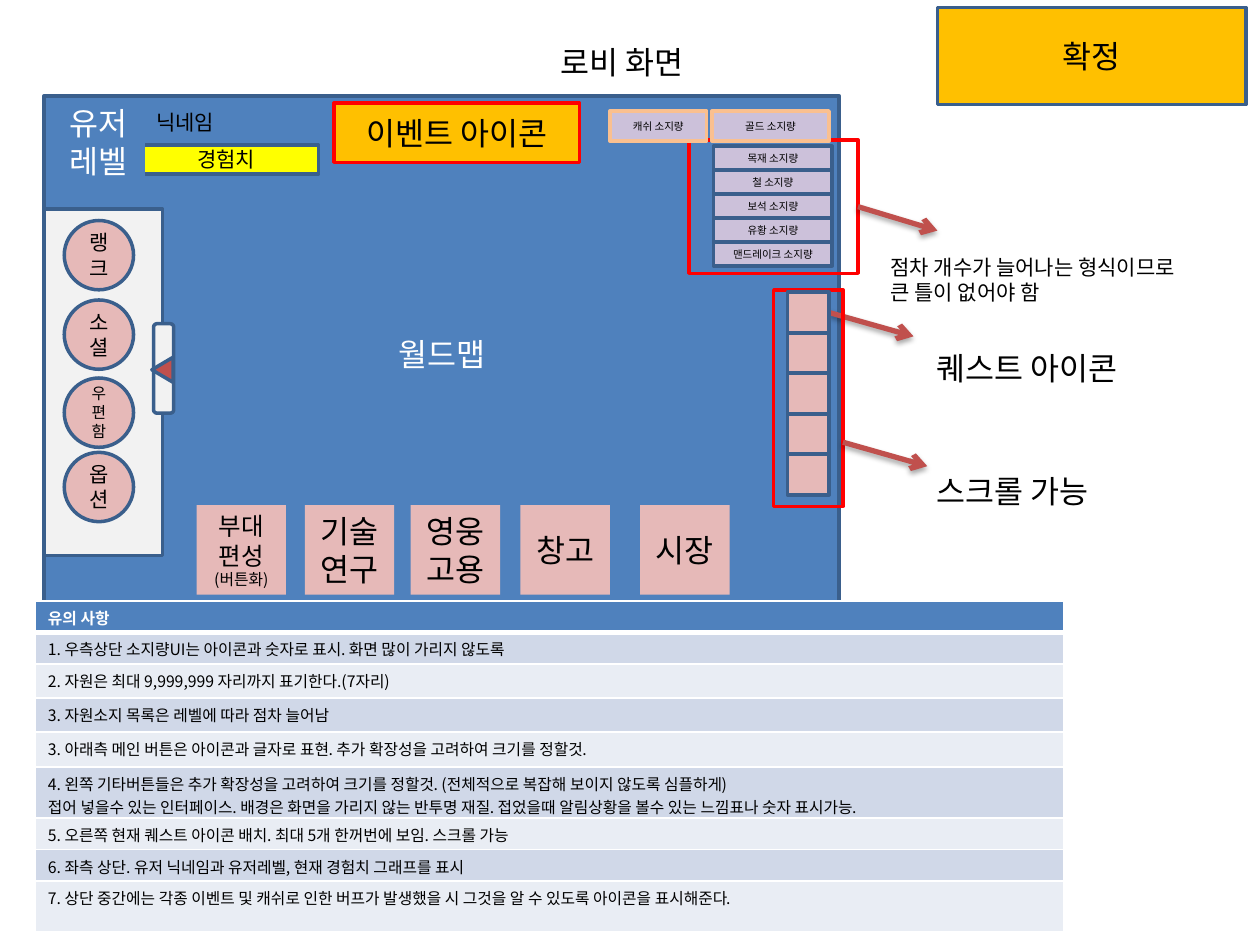
"""Build the lobby screen layout slide with its table of notes."""
from dataclasses import dataclass

from lxml.etree import SubElement
from pptx import Presentation
from pptx.dml.color import RGBColor
from pptx.enum.shapes import MSO_CONNECTOR as Link, MSO_SHAPE as Form
from pptx.enum.text import MSO_ANCHOR as Anchor, MSO_AUTO_SIZE as Fit, PP_ALIGN as Align
from pptx.oxml.ns import qn
from pptx.slide import Slide
from pptx.util import Pt

BLUE, NAVY, RED, ARROW = "4F81BD", "3A5F8C", "FF0000", "C0504D"
PINK, LILAC, PEACH, AMBER = "E6B9B8", "CCC1DA", "FAC090", "FFC000"
YELLOW, PALE, WHITE, BLACK = "FFFF00", "F2F2F2", "FFFFFF", "000000"
BANDS = ("D0D8E8", "E9EDF4")

NOTES = [
    (18, "유의 사항"),
    (18, "1. 우측상단 소지량UI는 아이콘과 숫자로 표시. 화면 많이 가리지 않도록"),
    (19.5, "2. 자원은 최대 9,999,999 자리까지 표기한다.(7자리)"),
    (19.5, "3. 자원소지 목록은 레벨에 따라 점차 늘어남"),
    (20, "3. 아래측 메인 버튼은 아이콘과 글자로 표현. 추가 확장성을 고려하여 크기를 정할것."),
    (29, "4. 왼쪽 기타버튼들은 추가 확장성을 고려하여 크기를 정할것. "
         "(전체적으로 복잡해 보이지 않도록 심플하게)\n"
         "접어 넣을수 있는 인터페이스. 배경은 화면을 가리지 않는 반투명 재질. "
         "접었을때 알림상황을 볼수 있는 느낌표나 숫자 표시가능."),
    (18, "5. 오른쪽 현재 퀘스트 아이콘 배치. 최대 5개 한꺼번에 보임. 스크롤 가능"),
    (18, "6. 좌측 상단. 유저 닉네임과 유저레벨, 현재 경험치 그래프를 표시"),
    (29, "7. 상단 중간에는 각종 이벤트 및 캐쉬로 인한 버프가 발생했을 시 "
         "그것을 알 수 있도록 아이콘을 표시해준다."),
]


def rgb(value):
    """Turn a hex string into a colour."""
    return RGBColor.from_string(value)


def apply(target, values):
    """Set every attribute named in a dict of format values."""
    for name, value in values.items():
        setattr(target, name, value)


def place(item, at):
    """Move and size an item in points."""
    apply(item, dict(zip(("left", "top", "width", "height"), map(Pt, at))))


@dataclass
class Board:
    """Hold the style and the current slide."""
    page: Slide
    face: str = "Noto Sans CJK KR"
    edge: float = 2

    def fill_text(self, frame, text, size, color=BLACK, align=Align.LEFT, bold=False, small=None):
        """Fill a text frame, one paragraph per line."""
        for index, line in enumerate(text.split("\n")):
            para = frame.add_paragraph() if index else frame.paragraphs[0]
            para.alignment = align
            span = para.add_run()
            span.text = line
            points = small if index and small else size
            apply(span.font, {"name": self.face, "size": Pt(points), "bold": bold})
            span.font.color.rgb = rgb(color)
            SubElement(span.font._element, qn("a:ea"), typeface=self.face)

    def title(self, at, text, size=18):
        """Move and fill the title placeholder."""
        box = self.page.shapes.title
        place(box, at)
        apply(box.text_frame, {"auto_size": Fit.NONE, "vertical_anchor": Anchor.MIDDLE})
        self.fill_text(box.text_frame, text, size)

    def label(self, at, text, size=18):
        """Add a plain text box."""
        box = self.page.shapes.add_textbox(*map(Pt, at))
        box.text_frame.word_wrap = True
        self.fill_text(box.text_frame, text, size)

    def shape(self, at, fill=None, line=NAVY, text="", size=18, color=BLACK,
              form=Form.RECTANGLE, turn=0, small=None):
        """Add a preset shape with optional centred text."""
        box = self.page.shapes.add_shape(form, *map(Pt, at))
        box.shadow.inherit = False
        box.rotation = turn
        if fill:
            box.fill.solid()
            box.fill.fore_color.rgb = rgb(fill)
        else:
            box.fill.background()
        if line:
            box.line.color.rgb = rgb(line)
            box.line.width = Pt(self.edge)
        else:
            box.line.fill.background()
        if text:
            apply(box.text_frame, {"word_wrap": True, "vertical_anchor": Anchor.MIDDLE})
            self.fill_text(box.text_frame, text, size, color, Align.CENTER, small=small)

    def arrow(self, start, end):
        """Add a shadowed arrow between two points."""
        link = self.page.shapes.add_connector(Link.STRAIGHT, *map(Pt, start + end))
        link.line.color.rgb = rgb(ARROW)
        link.line.width = Pt(3)
        SubElement(link.line._get_or_add_ln(), qn("a:tailEnd"), type="arrow")
        effects = SubElement(link._element.spPr, qn("a:effectLst"))
        shadow = SubElement(effects, qn("a:outerShdw"), blurRad=str(Pt(3.1)),
                            dist=str(Pt(1.8)), dir="5400000", rotWithShape="0")
        tone = SubElement(shadow, qn("a:srgbClr"), val=BLACK)
        SubElement(tone, qn("a:alpha"), val="35000")

    def borders(self, cell, bottom):
        """Give a cell white borders."""
        props = cell._tc.get_or_add_tcPr()
        for side, width in (("L", 1), ("R", 1), ("T", 1), ("B", bottom)):
            line = SubElement(props, qn(f"a:ln{side}"), w=str(Pt(width)))
            SubElement(SubElement(line, qn("a:solidFill")), qn("a:srgbClr"), val=WHITE)

    def table(self, left, top, width, rows):
        """Add a one-column banded table with a header row."""
        total = sum(height for height, _ in rows)
        grid = self.page.shapes.add_table(len(rows), 1, *map(Pt, (left, top, width, total))).table
        for index, (height, text) in enumerate(rows):
            grid.rows[index].height = Pt(height)
            cell, head = grid.cell(index, 0), index == 0
            apply(cell, {"margin_top": Pt(3), "margin_bottom": 0})
            self.borders(cell, 3 if head else 1)
            cell.fill.solid()
            cell.fill.fore_color.rgb = rgb(BLUE if head else BANDS[(index - 1) % 2])
            self.fill_text(cell.text_frame, text, 9, WHITE if head else BLACK, bold=head)


def main():
    """Build and save the slide."""
    deck = Presentation()
    apply(deck, {"slide_width": Pt(720), "slide_height": Pt(540)})
    board = Board(deck.slides.add_slide(deck.slide_layouts[5]))

    board.title((313.2, 20.9, 93.6, 29), "로비 화면")
    board.shape((25.2, 54.7, 454.3, 294.5), BLUE, text="월드맵", color=WHITE)
    board.table(20.2, 343.4, 587.5, NOTES)

    board.shape((393.8, 79.9, 96.5, 76.3), line=RED)
    board.arrow((490.3, 118.1), (535.7, 131.8))
    board.label((501.8, 141.8, 197.3, 36), "점차 개수가 늘어나는 형식이므로\n큰 틀이 없어야 함", 12)
    board.arrow((473.8, 178.6), (522, 192.2))
    board.label((527.8, 195.8, 130.3, 29), "퀘스트 아이콘")
    board.shape((442.1, 165.6, 39.6, 123.8), line=RED)
    board.arrow((481.7, 252.7), (529.9, 266.4))
    board.label((527.8, 266.4, 111.6, 29), "스크롤 가능")

    board.shape((25.2, 119.5, 67.7, 198), PALE)
    for left, width, text in ((348.5, 55.4, "캐쉬 소지량"), (406.8, 67, "골드 소지량")):
        board.shape((left, 63.4, width, 17.3), LILAC, PEACH, text, 6)
    for top, text, size in ((126, "랭크", 12), (171.4, "소셜", 12),
                            (216, "우편함", 9), (258.5, "옵션", 12)):
        board.shape((36.7, top, 39.6, 39.6), PINK, text=text, size=size, form=Form.OVAL)
    for left, text, size in ((112.3, "부대편성\n(버튼화)", 14), (174.2, "기술 연구", 18),
                             (234.7, "영웅고용", 18), (297.4, "창고", 18), (365.8, "시장", 18)):
        board.shape((left, 288.7, 51.1, 51.1), PINK, None, text, size, small=9)
    for index, name in enumerate(("목재", "철", "보석", "유황", "맨드레이크")):
        board.shape((407.8, 83.5 + 13.7 * index, 67.7, 13.7), LILAC, text=f"{name} 소지량", size=6)

    board.shape((87.8, 185, 11.5, 51.1), PALE, form=Form.ROUNDED_RECTANGLE)
    board.shape((85.7, 205.2, 14.4, 12.2), ARROW, form=Form.ISOSCELES_TRIANGLE, turn=270)
    for index in range(5):
        board.shape((450, 167 + 23.2 * index, 23.8, 23), PINK)

    board.shape((76.3, 82.8, 105.8, 16.6), YELLOW, text="경험치", size=12)
    board.label((82.1, 59, 59, 21.6), "닉네임", 12)
    board.shape((29.5, 57.6, 53.3, 46.8), BLUE, None, "유저레벨", color=WHITE)
    board.shape((190.8, 59, 140.4, 33.8), AMBER, RED, "이벤트 아이콘")
    board.shape((535.7, 4.3, 176.4, 55.4), AMBER, text="확정")
    deck.save("out.pptx")


if __name__ == "__main__":
    main()
